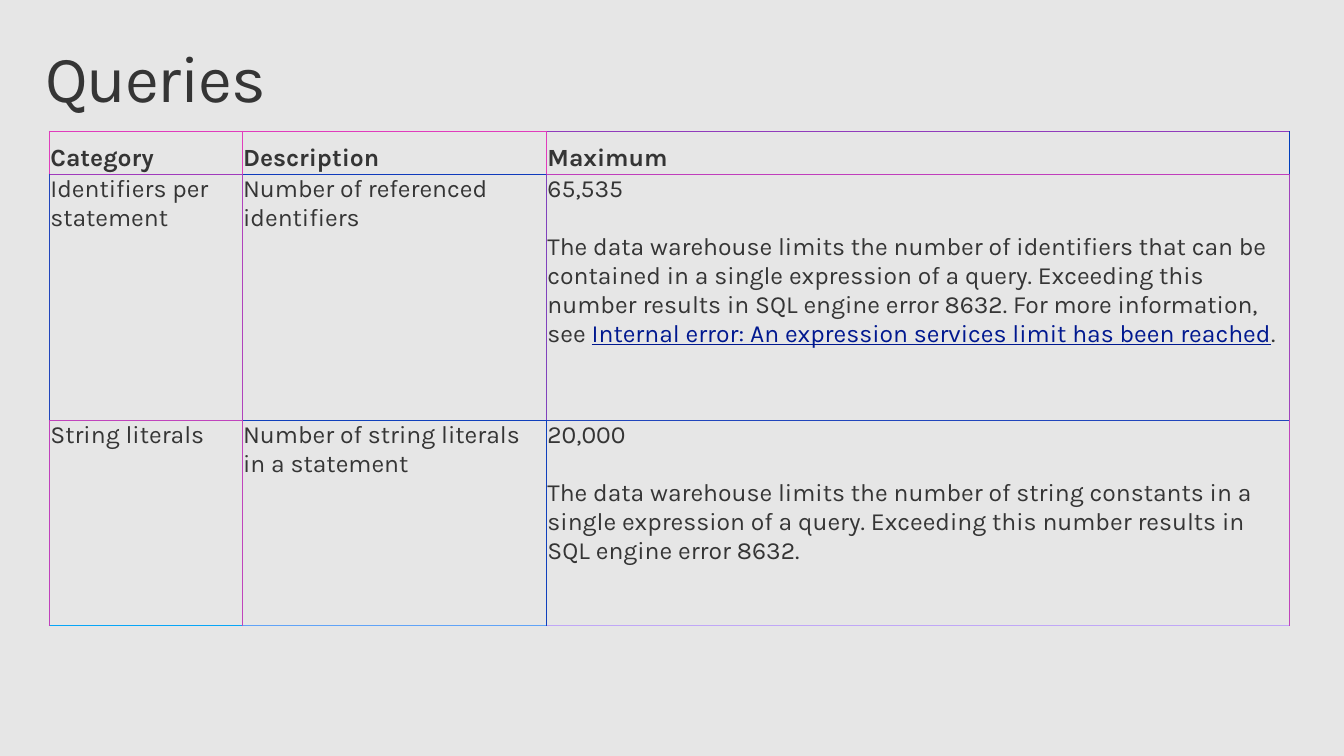
"""Build the slide that lists the query limits of a data warehouse."""
from dataclasses import dataclass

from lxml import etree
from pptx import Presentation, util as u
from pptx.dml.color import RGBColor
from pptx.enum import text
from pptx.oxml import ns


@dataclass(frozen=True)
class Theme:
    font: str = "Karla"
    background: str = "E6E6E6"
    ink: str = "353535"
    link: str = "00188F"
    title_size: float = 48
    body_size: float = 18
    paragraph_gap: float = 21
    outer_line: float = 1
    inner_line: float = 0.38
    horizontals: tuple = (
        ("E03CBC", "E03CBC", "903BBC"),
        ("A03ABC", "103ABC", "C03EBC"),
        ("C044BC", "1040BC", "2045BC"),
        ("08A6F7", "60A3F7", "C0A7F7"),
    )
    verticals: tuple = (
        ("E03FBC", "E03FBC", "E03CBC", "003EBC"),
        ("2045BC", "B042BC", "8042BC", "A043BC"),
        ("C041BC", "C044BC", "1040BC", "C044BC"),
    )


class SlideBuilder:
    COLUMNS, ROWS = 136, 76.5

    def __init__(self, presentation, theme):
        self.theme = theme
        self.column = presentation.slide_width / self.COLUMNS
        self.row = presentation.slide_height / self.ROWS
        self.slide = presentation.slides.add_slide(presentation.slide_layouts[6])
        fill = self.slide.background.fill
        fill.solid()
        fill.fore_color.rgb = RGBColor.from_string(theme.background)

    def across(self, columns):
        return round(columns * self.column)

    def down(self, rows):
        return round(rows * self.row)

    def place(self, left, top, width, height):
        return self.across(left), self.down(top), self.across(width), self.down(height)

    def style(self, paragraph, size, bold=False):
        font = paragraph.font
        font.name, font.size, font.bold = self.theme.font, u.Pt(size), bold
        font.color.rgb = RGBColor.from_string(self.theme.ink)

    def title(self, words, *area):
        frame = self.slide.shapes.add_textbox(*self.place(*area)).text_frame
        frame.word_wrap = True
        frame.vertical_anchor = text.MSO_ANCHOR.MIDDLE
        frame.margin_left = frame.margin_right = u.Inches(0.16)
        frame.margin_top = frame.margin_bottom = u.Inches(0.1)
        paragraph = frame.paragraphs[0]
        paragraph.line_spacing = 0.9
        run = paragraph.add_run()
        run.text = words
        run._r.get_or_add_rPr().set("spc", "-100")
        self.style(paragraph, self.theme.title_size)

    def border(self, cell, side, color, width):
        line = etree.SubElement(cell._tc.get_or_add_tcPr(), ns.qn(f"a:ln{side}"), w=str(u.Pt(width)))
        fill = etree.SubElement(line, ns.qn("a:solidFill"))
        etree.SubElement(fill, ns.qn("a:srgbClr"), val=color)

    def borders(self, cell, row, column, last_row):
        theme = self.theme
        widths = [theme.outer_line if edge in (0, last_row + 1) else theme.inner_line for edge in (row, row + 1)]
        self.border(cell, "L", theme.verticals[row][column], theme.outer_line)
        self.border(cell, "R", theme.verticals[row][column + 1], theme.outer_line)
        self.border(cell, "T", theme.horizontals[row][column], widths[0])
        self.border(cell, "B", theme.horizontals[row + 1][column], widths[1])

    def cell_text(self, cell, paragraphs, bold):
        frame = cell.text_frame
        for index, pieces in enumerate(paragraphs):
            paragraph = frame.add_paragraph() if index else frame.paragraphs[0]
            if index:
                paragraph.space_before = u.Pt(self.theme.paragraph_gap)
            self.style(paragraph, self.theme.body_size, bold)
            for position, piece in enumerate(pieces):
                run = paragraph.add_run()
                run.text = piece
                if position == 1:
                    run.font.underline = True
                    run.font.color.rgb = RGBColor.from_string(self.theme.link)

    def table(self, left, top, widths, heights, content):
        area = self.place(left, top, sum(widths), sum(heights))
        table = self.slide.shapes.add_table(len(heights), len(widths), *area).table
        table.first_row = table.horz_banding = False
        for column, width in zip(table.columns, widths):
            column.width = self.across(width)
        for row, height in zip(table.rows, heights):
            row.height = self.down(height)
        for row_index, row in enumerate(content):
            for column_index, paragraphs in enumerate(row):
                cell = table.cell(row_index, column_index)
                header = row_index == 0
                cell.margin_left = cell.margin_right = u.Inches(0.01)
                cell.margin_top = cell.margin_bottom = u.Inches(0.01)
                cell.vertical_anchor = text.MSO_ANCHOR.BOTTOM if header else text.MSO_ANCHOR.TOP
                self.borders(cell, row_index, column_index, len(content) - 1)
                cell.fill.background()
                self.cell_text(cell, paragraphs, header)


LIMITS = [
    [[["Category"]], [["Description"]], [["Maximum"]]],
    [
        [["Identifiers per statement"]],
        [["Number of referenced identifiers"]],
        [
            ["65,535"],
            [
                "The data warehouse limits the number of identifiers that can be contained in a single "
                "expression of a query. Exceeding this number results in SQL engine error 8632. "
                "For more information, see ",
                "Internal error: An expression services limit has been reached",
                ".",
            ],
        ],
    ],
    [
        [["String literals"]],
        [["Number of string literals in a statement"]],
        [
            ["20,000"],
            [
                "The data warehouse limits the number of string constants in a single expression "
                "of a query. Exceeding this number results in SQL engine error 8632."
            ],
        ],
    ],
]


def main():
    presentation = Presentation()
    presentation.slide_width, presentation.slide_height = u.Inches(13.6), u.Inches(7.65)
    builder = SlideBuilder(presentation, Theme())
    builder.title("Queries", 3, 3.2, 130, 10)
    builder.table(5, 13.3, (19.5, 30.8, 75.2), (4.3, 24.9, 20.8), LIMITS)
    presentation.save("out.pptx")


if __name__ == "__main__":
    main()
